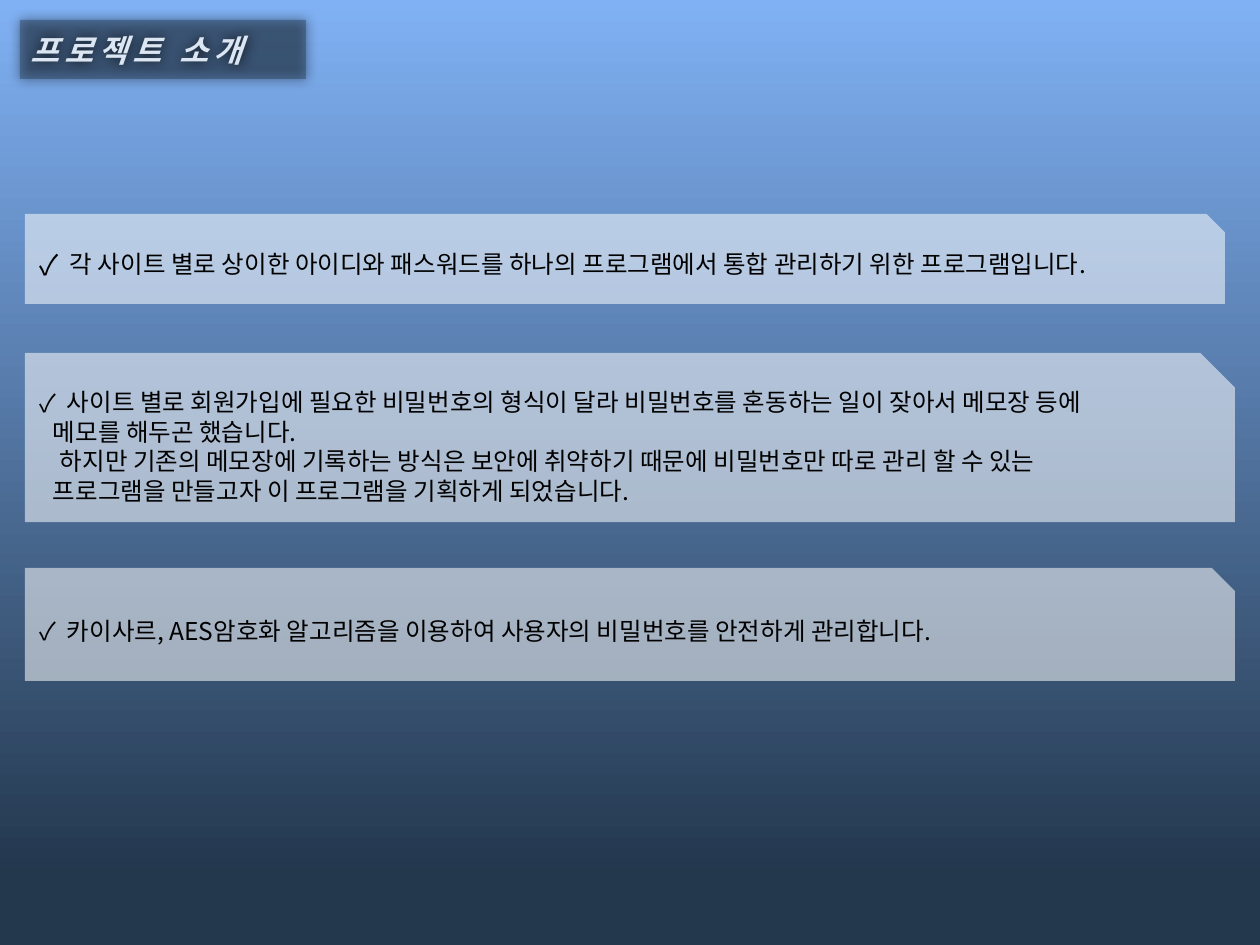
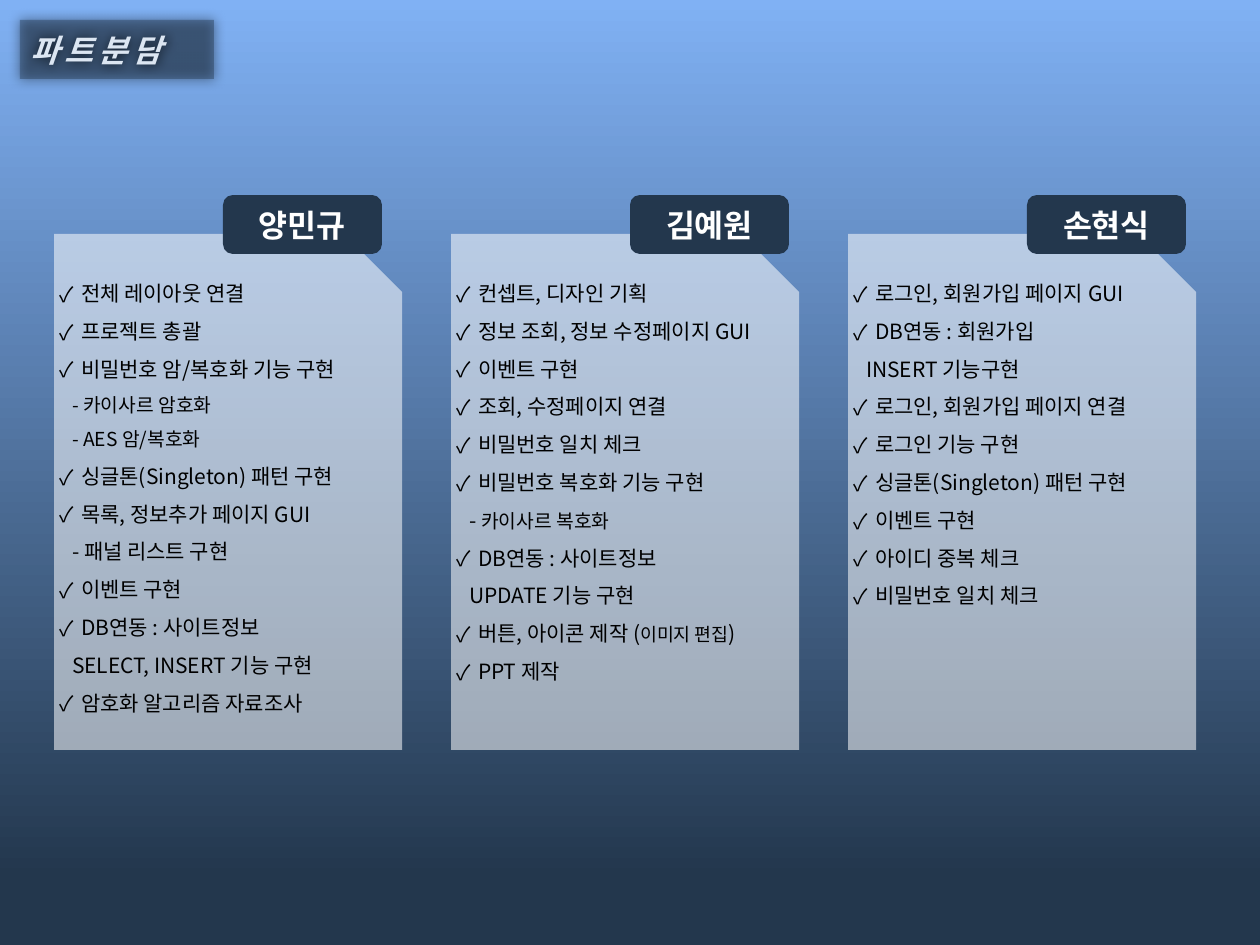
from pptx import Presentation
from pptx.dml.color import RGBColor
from pptx.enum.shapes import MSO_SHAPE as SHAPE
from pptx.enum.text import MSO_ANCHOR as ANCHOR, PP_ALIGN as ALIGN
from pptx.oxml.ns import qn
from pptx.util import Emu, Pt
from lxml.etree import SubElement

PX = 914400 / 126
FONT = "Noto Sans CJK KR"
COLORS = {"sky": "80B1F4", "navy": "23374D", "ice": "DCE6F2",
          "white": "FFFFFF", "black": "000000"}


def px(n):
    return Emu(round(n * PX))


def check(*runs):
    """A line with a check mark."""
    return None, runs


def plain(indent, *runs):
    """A line without a mark, indented by px."""
    return indent, runs


class Deck:
    def __init__(self, width, height):
        self.prs = Presentation()
        self.prs.slide_width, self.prs.slide_height = px(width), px(height)
        self.s = None

    def color(self, name):
        return RGBColor.from_string(COLORS[name])

    def slide(self, title, title_width):
        self.s = self.prs.slides.add_slide(self.prs.slide_layouts[6])
        fill = self.s.background.fill
        fill.gradient()
        fill.gradient_angle = 270
        for stop, name, pos in zip(fill.gradient_stops, ("sky", "navy"), (0, 0.93)):
            stop.color.rgb = self.color(name)
            stop.position = pos
        self.title(title, title_width)

    def shape(self, kind, box, fill, alpha=100, insets=(13, 6, 13, 6)):
        sp = self.s.shapes.add_shape(kind, *map(px, box))
        sp.shadow.inherit = False
        sp.line.fill.background()
        sp.fill.solid()
        sp.fill.fore_color.rgb = self.color(fill)
        if alpha < 100:
            clr = sp.fill._xPr.find(qn("a:solidFill"))[0]
            SubElement(clr, qn("a:alpha"), val=str(alpha * 1000))
        tf = sp.text_frame
        tf.margin_left, tf.margin_top, tf.margin_right, tf.margin_bottom = map(px, insets)
        tf.vertical_anchor = ANCHOR.MIDDLE
        return sp

    def run(self, p, text, size, color, bold=False):
        r = p.add_run()
        r.text = text
        r.font.size, r.font.bold = Pt(size), bold
        r.font.name = FONT
        r.font.color.rgb = self.color(color)
        SubElement(r.font._element, qn("a:ea"), typeface=FONT)
        return r

    def title(self, text, width):
        sp = self.shape(SHAPE.RECTANGLE, (20, 20, width, 59), "navy", 41, (10, 6, 13, 6))
        effects = sp._element.spPr.find(qn("a:effectLst"))
        shadow = SubElement(effects, qn("a:outerShdw"), blurRad=str(Pt(7)),
                            dist="0", dir=str(123 * 60000), rotWithShape="0")
        SubElement(shadow, qn("a:srgbClr"), val=COLORS["black"])
        p = sp.text_frame.paragraphs[0]
        p.alignment = ALIGN.LEFT
        r = self.run(p, text, 18, "ice", bold=True)
        r.font.italic = True
        r.font._element.set("spc", "300")

    def label(self, text, box):
        sp = self.shape(SHAPE.ROUNDED_RECTANGLE, box, "navy")
        p = sp.text_frame.paragraphs[0]
        p.alignment = ALIGN.CENTER
        self.run(p, text, 18, "white", bold=True)

    def panel(self, box, lines, size, hang, insets, spacing=1.0, snip=None,
              anchor=ANCHOR.MIDDLE, mark=100):
        sp = self.shape(SHAPE.SNIP_1_RECTANGLE, box, "white", 54, insets)
        if snip:
            sp.adjustments[0] = snip
        tf = sp.text_frame
        tf.word_wrap = False
        tf.vertical_anchor = anchor
        for i, (indent, runs) in enumerate(lines):
            p = tf.add_paragraph() if i else tf.paragraphs[0]
            p.alignment, p.line_spacing = ALIGN.LEFT, spacing
            self.indent(p, indent, hang, mark)
            for item in runs:
                text, run_size = item if isinstance(item, tuple) else (item, size)
                self.run(p, text, run_size, "black")

    def indent(self, p, indent, hang, mark):
        pPr = p._p.get_or_add_pPr()
        if indent is None:
            pPr.set("marL", str(px(hang)))
            pPr.set("indent", str(-px(hang)))
            SubElement(pPr, qn("a:buSzPct"), val=str(mark * 1000))
            SubElement(pPr, qn("a:buFont"), typeface=FONT)
            SubElement(pPr, qn("a:buChar"), char="✓")
        else:
            pPr.set("marL", str(px(indent)))
            pPr.set("indent", "0")
            SubElement(pPr, qn("a:buNone"))


def intro(deck):
    deck.slide("프로젝트 소개", 286)
    # box, hanging indent, mark size in percent, lines
    panels = [
        ((25, 214, 1200, 90), 30, 114, [
            check("각 사이트 별로 상이한 아이디와 패스워드를 하나의 프로그램에서 통합 관리하기 위한 프로그램입니다.")]),
        ((25, 353, 1210, 169), 27, 100, [
            check("사이트 별로 회원가입에 필요한 비밀번호의 형식이 달라 비밀번호를 혼동하는 일이 잦아서 메모장 등에"),
            plain(13, "메모를 해두곤 했습니다."),
            plain(20, "하지만 기존의 메모장에 기록하는 방식은 보안에 취약하기 때문에 비밀번호만 따로 관리 할 수 있는"),
            plain(13, "프로그램을 만들고자 이 프로그램을 기획하게 되었습니다.")]),
        ((25, 568, 1210, 113), 27, 100, [
            check("카이사르, AES암호화 알고리즘을 이용하여 사용자의 비밀번호를 안전하게 관리합니다.")]),
    ]
    for box, hang, mark, lines in panels:
        deck.panel(box, lines, 14, hang, (15, 6, 5, 6), snip=0.204, mark=mark)


def roles(deck):
    deck.slide("파트분담", 194)
    # name, label offset in the column, lines
    members = [
        ("양민규", 169, [
            check("전체 레이아웃 연결"),
            check("프로젝트 총괄"),
            check("비밀번호 암/복호화 기능 구현"),
            plain(13, ("- 카이사르 암호화", 11)),
            plain(13, ("- AES 암/복호화", 11)),
            check("싱글톤(Singleton) 패턴 구현"),
            check("목록, 정보추가 페이지 GUI"),
            plain(13, "- 패널 리스트 구현"),
            check("이벤트 구현"),
            check("DB연동 : 사이트정보"),
            plain(13, "SELECT, INSERT 기능 구현"),
            check("암호화 알고리즘 자료조사")]),
        ("김예원", 179, [
            check("컨셉트, 디자인 기획"),
            check("정보 조회, 정보 수정페이지 GUI"),
            check("이벤트 구현"),
            check("조회, 수정페이지 연결"),
            check("비밀번호 일치 체크"),
            check("비밀번호 복호화 기능 구현"),
            plain(13, "- ", ("카이사르 복호화", 11)),
            check("DB연동 : 사이트정보"),
            plain(13, "UPDATE 기능 구현"),
            check("버튼, 아이콘 제작 (", ("이미지 편집", 10.5), ")"),
            check("PPT 제작")]),
        ("손현식", 179, [
            check("로그인, 회원가입 페이지 GUI"),
            check("DB연동 : 회원가입"),
            plain(13, "INSERT 기능구현"),
            check("로그인, 회원가입 페이지 연결"),
            check("로그인 기능 구현"),
            check("싱글톤(Singleton) 패턴 구현"),
            check("이벤트 구현"),
            check("아이디 중복 체크"),
            check("비밀번호 일치 체크")]),
    ]
    for i, (name, offset, lines) in enumerate(members):
        left = 54 + 397 * i
        deck.panel((left, 234, 348, 516), lines, 12, 22, (5, 5, 5, 5),
                   spacing=1.5, anchor=ANCHOR.TOP)
        deck.label(name, (left + offset, 195, 159, 59))


def main():
    deck = Deck(1260, 945)
    intro(deck)
    roles(deck)
    deck.prs.save("out.pptx")


if __name__ == "__main__":
    main()
